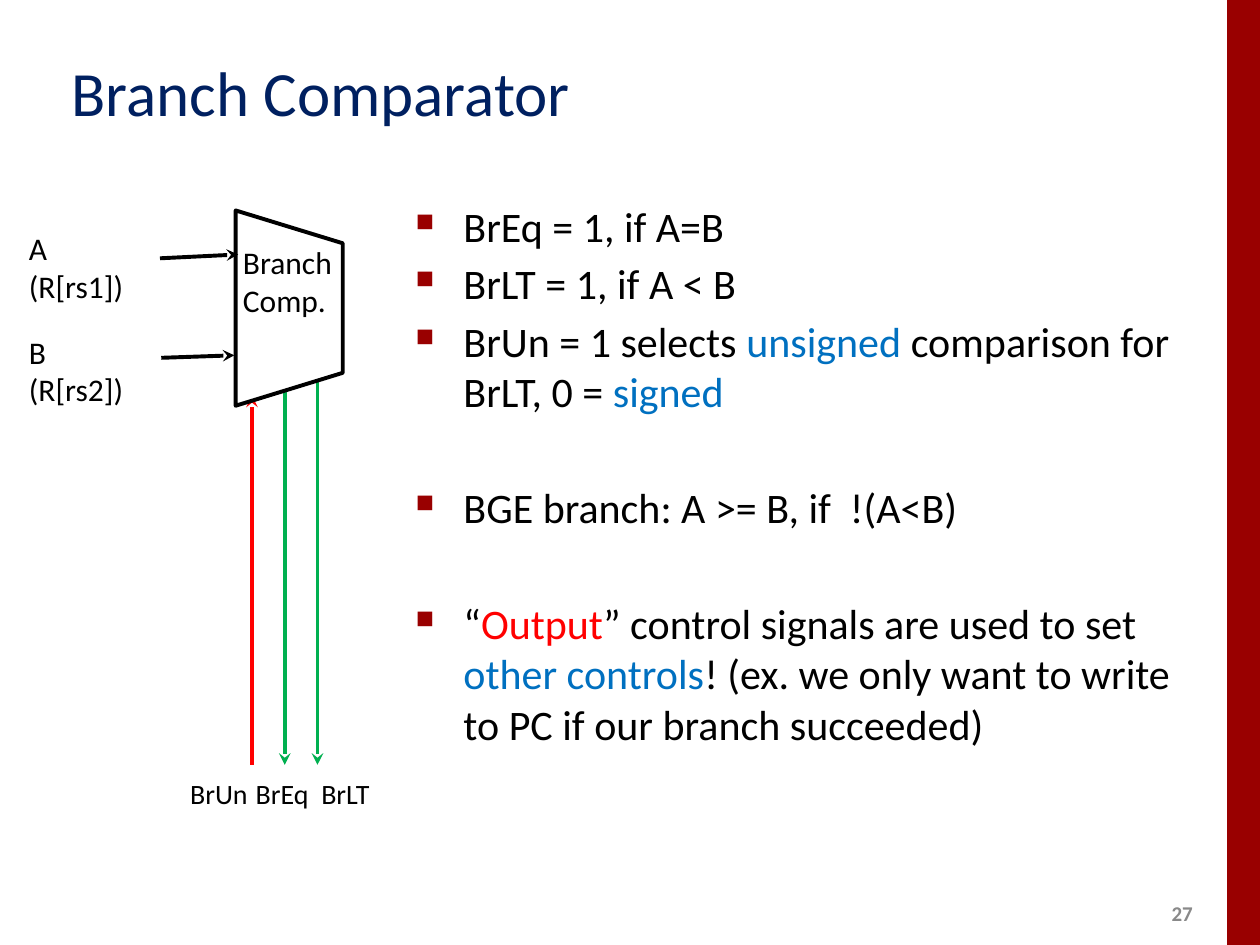
from lxml.etree import SubElement
from pptx import Presentation
from pptx.dml.color import RGBColor
from pptx.enum.shapes import MSO_CONNECTOR as Connector, MSO_SHAPE as Shape
from pptx.enum.text import MSO_ANCHOR as Anchor
from pptx.oxml.ns import qn
from pptx.util import Inches, Pt

BLACK, BLUE, RED, GREEN, MAROON = "000000", "0070C0", "FF0000", "00B050", "990000"


def color(value):
    return RGBColor.from_string(value)


def write_span(para, text, size=18, ink=BLACK, bold=False):
    span = para.add_run()
    span.text = text
    span.font.name = "Calibri"
    span.font.size = Pt(size)
    span.font.bold = bold
    span.font.color.rgb = color(ink)


def add_frame(page, left, top, width, height, inset=(0.1, 0.05), anchor=Anchor.TOP):
    box = page.shapes.add_textbox(Inches(left), Inches(top), Inches(width), Inches(height))
    frame = box.text_frame
    frame.word_wrap = True
    frame.vertical_anchor = anchor
    frame.margin_left = frame.margin_right = Inches(inset[0])
    frame.margin_top = frame.margin_bottom = Inches(inset[1])
    return frame


def add_text(page, text, left, top, width, height, inset=(0.1, 0.05), anchor=Anchor.TOP, **style):
    frame = add_frame(page, left, top, width, height, inset, anchor)
    for index, line in enumerate(text.split("\n")):
        para = frame.add_paragraph() if index else frame.paragraphs[0]
        write_span(para, line, **style)


def add_block(page, kind, left, top, width, height, fill):
    block = page.shapes.add_shape(kind, Inches(left), Inches(top), Inches(width), Inches(height))
    block.shadow.inherit = False
    block.fill.solid()
    block.fill.fore_color.rgb = color(fill)
    block.line.fill.background()
    return block


def add_arrow(page, start, end, ink):
    points = [Inches(value) for value in (*start, *end)]
    arrow = page.shapes.add_connector(Connector.STRAIGHT, *points)
    arrow.line.color.rgb = color(ink)
    arrow.line.width = Pt(2.25)
    SubElement(arrow.line._get_or_add_ln(), qn("a:tailEnd"), type="stealth")
    SubElement(arrow._element.spPr, qn("a:effectLst"))


def add_bullet(para):
    props = para._p.get_or_add_pPr()
    props.set("marL", str(Inches(0.38)))
    props.set("indent", str(Inches(-0.38)))
    ink = SubElement(props, qn("a:buClr"))
    SubElement(ink, qn("a:srgbClr"), val=MAROON)
    SubElement(props, qn("a:buSzPct"), val="60000")
    SubElement(props, qn("a:buChar"), char="■")


def draw_furniture(page, left, top, width, height):
    add_block(page, Shape.RECTANGLE, left, top, width, height, MAROON)
    add_text(page, "27", left - 0.54, top + 7.1, 0.4, 0.3, anchor=Anchor.MIDDLE,
             size=12, ink="898989", bold=True)


def draw_points(page, left, top, width, height):
    near, far = 4, 37.5
    points = [
        (near, [("BrEq = 1, if A=B", BLACK)]),
        (near, [("BrLT = 1, if A < B", BLACK)]),
        (near, [("BrUn = 1 selects ", BLACK), ("unsigned", BLUE),
                (" comparison for BrLT, 0 = ", BLACK), ("signed", BLUE)]),
        (far, [("BGE branch: A >= B, if  !(A<B)", BLACK)]),
        (far, [("“", BLACK), ("Output", RED), ("” control signals are used to set ", BLACK),
               ("other controls", BLUE),
               ("! (ex. we only want to write to PC if our branch succeeded)", BLACK)]),
    ]
    frame = add_frame(page, left, top, width, height)
    for index, (gap, spans) in enumerate(points):
        para = frame.add_paragraph() if index else frame.paragraphs[0]
        para.space_before = Pt(gap)
        add_bullet(para)
        for text, ink in spans:
            write_span(para, text, size=24, ink=ink)


def draw_comparator(page, left, top, width, height):
    bottom = top + height
    signals = [("BrUn", RED), ("BrEq", GREEN), ("BrLT", GREEN)]
    for index, (name, ink) in enumerate(signals):
        x = left + 1.77 + index * 0.26
        low = (x, bottom - 0.51)
        if ink == RED:
            add_arrow(page, low, (x, top + 1.32), ink)
        else:
            add_arrow(page, (x, top + 1.06), low, ink)
        add_text(page, name, left + 1.28 + index * 0.52, bottom - 0.42, 0.54, 0.42,
                 inset=(0, 0), size=16)

    body = add_block(page, Shape.TRAPEZOID, left + 1.29, top + 0.2, 1.55, 0.85, "FFFFFF")
    body.adjustments[0] = 0.307
    body.rotation = 90
    body.line.color.rgb = color(BLACK)
    body.line.width = Pt(2.25)
    add_text(page, "Branch Comp.", left + 1.6, top + 0.06, 1.3, 1.1)

    add_arrow(page, (left + 1.04, top + 0.23), (left + 1.66, top + 0.2), BLACK)
    add_arrow(page, (left + 1.05, top + 1.02), (left + 1.63, top + 1), BLACK)
    for text, drop in (("A\n(R[rs1])", 0), ("B\n(R[rs2])", 0.82)):
        add_text(page, text, left, top + drop, 0.89, 0.47, inset=(0, 0))


def main():
    deck = Presentation()
    deck.slide_width, deck.slide_height = Inches(10), Inches(7.5)
    page = deck.slides.add_slide(deck.slide_layouts[6])
    draw_furniture(page, 9.74, 0, 0.26, 7.5)
    add_text(page, "Branch Comparator", 0.47, 0.15, 9.44, 1.15, anchor=Anchor.MIDDLE,
             size=36, ink="002060")
    draw_points(page, 3.2, 1.54, 6.48, 5.22)
    draw_comparator(page, 0.23, 1.82, 2.9, 4.76)
    deck.save("out.pptx")


if __name__ == "__main__":
    main()
